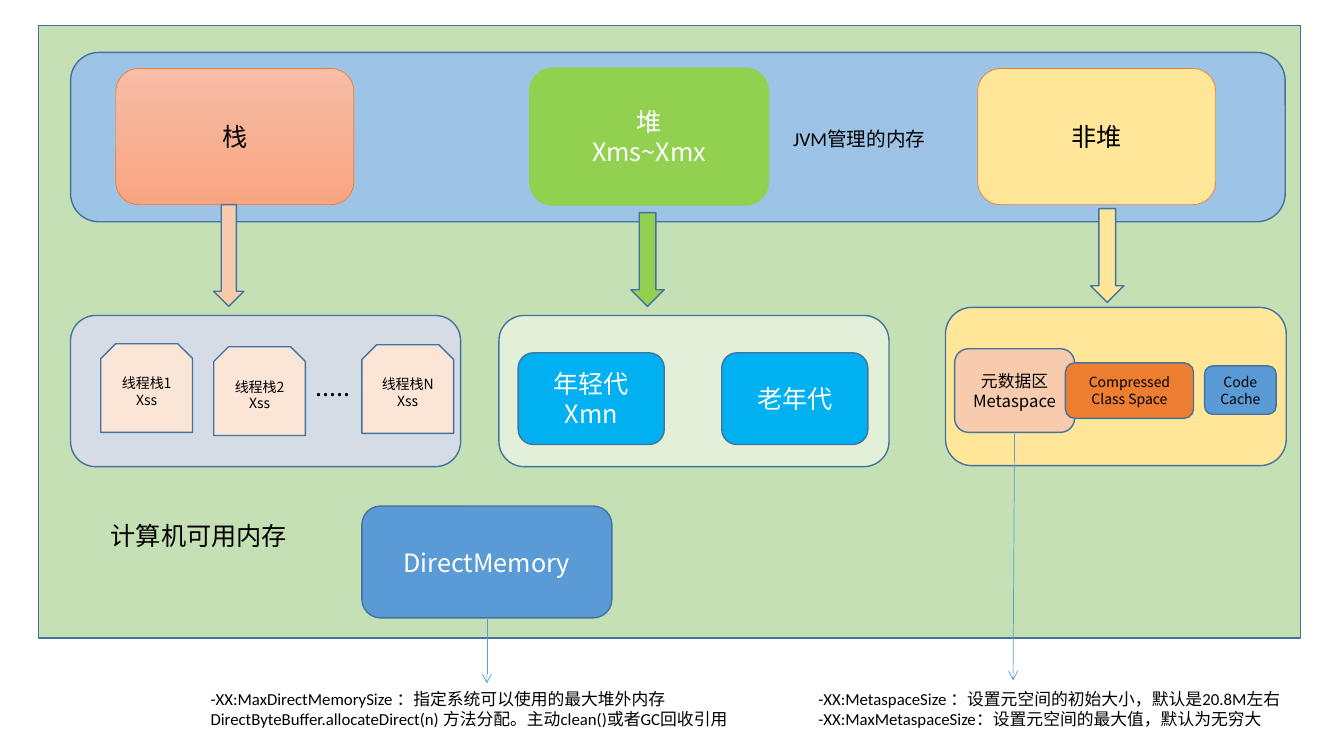
import pptx
import pptx.util
import pptx.dml.color
import pptx.enum.shapes
import pptx.enum.text
import pptx.oxml
import pptx.oxml.ns

SHAPES = pptx.enum.shapes.MSO_SHAPE
CELL = pptx.util.Inches(0.1)
CJK_FONT = "Noto Sans CJK SC"
BLACK, WHITE = "000000", "FFFFFF"
OUTLINE, ORANGE, BLUE = "43739E", "ED7D31", "5B9BD5"
GREEN, YELLOW, PEACH, SKY = "92D050", "FFE699", "F8CBAD", "00B0F0"


def color(value):
    return pptx.dml.color.RGBColor.from_string(value)


def cells(*counts):
    return [round(count * CELL) for count in counts]


def apply(target, values):
    for name, value in values.items():
        setattr(target, name, value)


class MemoryDiagram:
    """Draws memory areas on a slide whose grid has ten cells to the inch."""

    def __init__(self, columns, rows):
        self.presentation = pptx.Presentation()
        width, height = cells(columns, rows)
        apply(self.presentation, {"slide_width": width, "slide_height": height})
        self.slide = self.presentation.slides.add_slide(self.presentation.slide_layouts[6])

    def set_text(self, shape, lines, size, font, ink, frame_format, paragraph_format):
        apply(shape.text_frame, {"word_wrap": True, **frame_format})
        shape.text_frame.text = "\n".join(lines)
        for paragraph in shape.text_frame.paragraphs:
            apply(paragraph, paragraph_format)
            for run in paragraph.runs:
                apply(run.font, {"size": pptx.util.Pt(size), "name": font})
                run.font.color.rgb = color(ink)
                east_asian = pptx.oxml.parse_xml(
                    f'<a:ea {pptx.oxml.ns.nsdecls("a")} typeface="{font}"/>')
                run.font._element.find(pptx.oxml.ns.qn("a:latin")).addnext(east_asian)

    def box(self, kind, place, fill, lines=(), size=18, ink=BLACK, line=OUTLINE, weight=1):
        shape = self.slide.shapes.add_shape(kind, *cells(*place))
        shape.shadow.inherit = False
        if isinstance(fill, str):
            shape.fill.solid()
            shape.fill.fore_color.rgb = color(fill)
        else:
            shape.fill.gradient()
            shape.fill.gradient_angle = 270
            for stop, shade in zip(shape.fill.gradient_stops, fill):
                stop.color.rgb = color(shade)
        shape.line.color.rgb = color(line)
        shape.line.width = pptx.util.Pt(weight)
        if lines:
            self.set_text(
                shape, lines, size, CJK_FONT, ink,
                {"margin_left": 0, "margin_right": 0,
                 "vertical_anchor": pptx.enum.text.MSO_ANCHOR.MIDDLE},
                {"alignment": pptx.enum.text.PP_ALIGN.CENTER,
                 "line_spacing": pptx.util.Pt(size * 1.2)})
        return shape

    def label(self, place, lines, size, font="Calibri"):
        shape = self.slide.shapes.add_textbox(*cells(*place))
        self.set_text(shape, lines, size, font, BLACK,
                      {"auto_size": pptx.enum.text.MSO_AUTO_SIZE.SHAPE_TO_FIT_TEXT}, {})

    def pointer(self, source, end):
        connector = self.slide.shapes.add_connector(
            pptx.enum.shapes.MSO_CONNECTOR.STRAIGHT, 0, 0, *cells(*end))
        connector.begin_connect(source, 2)
        connector.line.color.rgb = color(BLUE)
        connector.line.width = pptx.util.Pt(0.5)
        namespace = pptx.oxml.ns.nsdecls("a")
        connector.line._get_or_add_ln().append(
            pptx.oxml.parse_xml(f'<a:tailEnd {namespace} type="arrow"/>'))
        connector._element.spPr.append(pptx.oxml.parse_xml(f"<a:effectLst {namespace}/>"))


def main():
    diagram = MemoryDiagram(133.33, 75)
    rounded = SHAPES.ROUNDED_RECTANGLE

    diagram.box(SHAPES.RECTANGLE, (3.8, 2.5, 125.2, 60.8), "C5E0B4")
    for place, fill in [
        ((7, 5.2, 120.5, 16.8), "9DC3E6"),
        ((7, 31.3, 38.7, 15), "D6DCE5"),
        ((49.5, 31.3, 38.7, 15), "E2F0D9"),
        ((93.8, 30.5, 33.8, 15.7), YELLOW),
    ]:
        diagram.box(rounded, place, fill)

    for left, fill, lines, ink, line, weight in [
        (11.5, ("F7BDA5", "F8A582"), ["栈"], BLACK, ORANGE, 0.5),
        (52.6, GREEN, ["堆", "Xms~Xmx"], WHITE, GREEN, 1.5),
        (97, YELLOW, ["非堆"], BLACK, ORANGE, 0.5),
    ]:
        diagram.box(rounded, (left, 6.8, 23.6, 13.5), fill, lines, 18, ink, line, weight)

    for place, fill in [
        ((21.2, 20.3, 3, 10.1), PEACH),
        ((62.6, 21.1, 3.3, 9.3), GREEN),
        ((108.2, 20.7, 3.3, 9.3), YELLOW),
    ]:
        diagram.box(SHAPES.DOWN_ARROW, place, fill)

    for left, top, number in [(10, 34.1, "1"), (21.2, 34.4, "2"), (35.9, 34.2, "N")]:
        diagram.box(SHAPES.SNIP_2_SAME_RECTANGLE, (left, top, 9.1, 8.8), "FBE5D6",
                    [f"线程栈{number}", "Xss"], 10)
    diagram.label((30.3, 36.3, 7.5, 4), ["....."], 18, CJK_FONT)

    for left, lines in [(51.4, ["年轻代", "Xmn"]), (71.6, ["老年代"])]:
        diagram.box(rounded, (left, 35, 14.5, 9.1), SKY, lines, 18, WHITE)

    metaspace = diagram.box(rounded, (94.7, 34.6, 11.9, 8.3), PEACH,
                            ["元数据区", "Metaspace"], 12)
    diagram.box(rounded, (105.7, 36, 12.7, 5.5), ORANGE, ["Compressed", "Class Space"], 10)
    diagram.box(rounded, (119.5, 36.3, 7.1, 4.8), BLUE, ["Code", "Cache"], 10)
    direct_memory = diagram.box(rounded, (35.9, 50.2, 24.8, 11.1), BLUE,
                                ["DirectMemory"], 18, WHITE)

    diagram.label((10, 51.1, 21.2, 4), ["计算机可用内存"], 18)
    diagram.label((77.7, 12.1, 17, 3.4), ["JVM管理的内存"], 14)
    diagram.label((80.2, 67.8, 51.3, 5), [
        "-XX:MetaspaceSize ：设置元空间的初始大小，默认是20.8M左右",
        "-XX:MaxMetaspaceSize：设置元空间的最大值，默认为无穷大"], 12)
    diagram.label((19.9, 67.8, 61.5, 5), [
        "-XX:MaxDirectMemorySize ：指定系统可以使用的最大堆外内存",
        "DirectByteBuffer.allocateDirect(n) 方法分配。主动clean()或者GC回收引用"], 12)
    diagram.pointer(metaspace, (100.5, 67.5))
    diagram.pointer(direct_memory, (48.3, 67.8))

    diagram.presentation.save("out.pptx")


if __name__ == "__main__":
    main()
